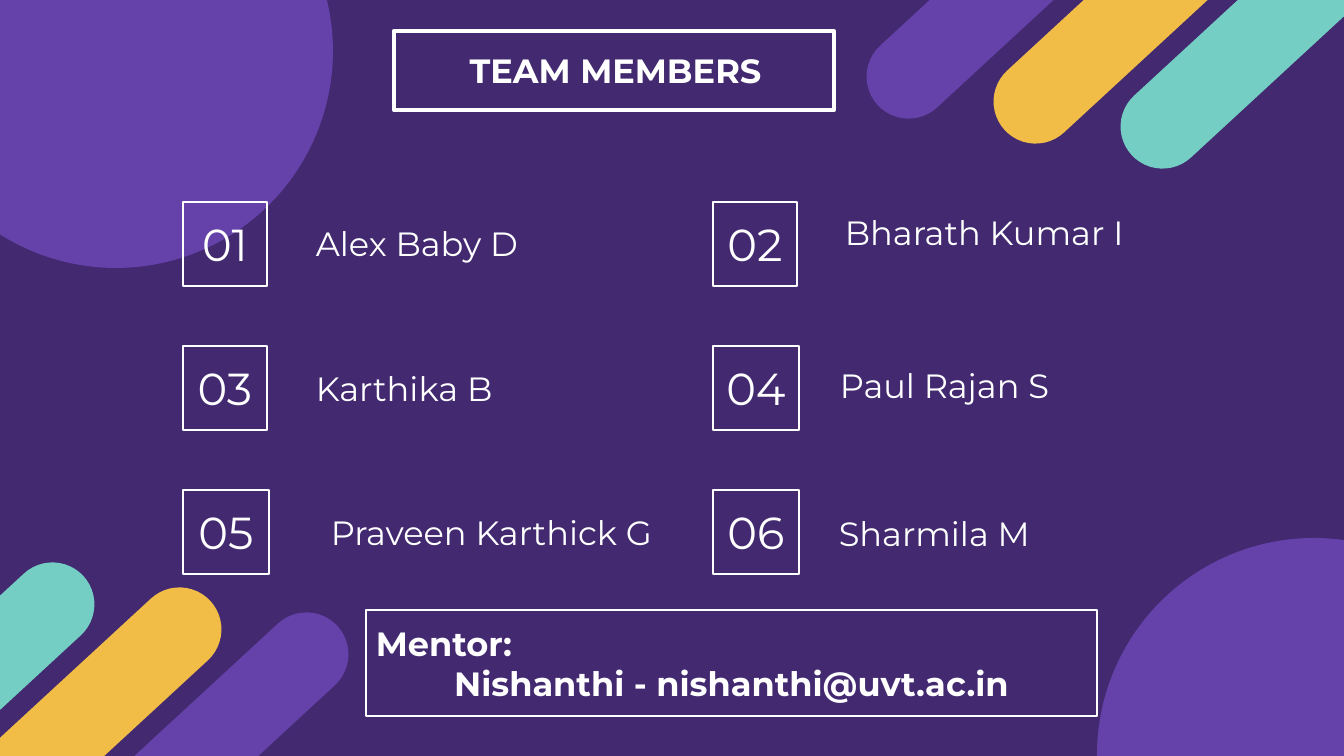
"""Build the team members slide."""
from pptx import Presentation
from pptx import util as u
from pptx.dml.color import RGBColor
from pptx.enum import shapes, text

COLORS = {"night": "422970", "violet": "6542A9", "amber": "F1BD47",
          "mint": "75CEC4", "white": "FFFFFF"}
FONT = "Montserrat"
SCALE = 914400 / 100.8
SLIDE_W, SLIDE_H = 1344, 756

TITLE = "TEAM MEMBERS"
MEMBERS = [
    ("Alex Baby D", 306, 218, 384, 84),
    ("Bharath Kumar I", 835, 207, 442, 84),
    ("Karthika B", 306, 363, 384, 84),
    ("Paul Rajan S", 830, 360, 442, 86),
    ("Praveen Karthick G", 321, 507, 370, 86),
    ("Sharmila M", 829, 508, 442, 86),
]
MENTOR = ["Mentor:", "Nishanthi - nishanthi@uvt.ac.in"]
CIRCLES = [(-101, -166), (1097, 538)]
CIRCLE_SIZE = 434
PILL_GROUPS = [(837, -41, ("violet", "amber", "mint")),
               (-183, 638, ("mint", "amber", "violet"))]
PILL_W, PILL_H, PILL_DX, PILL_DY = 307, 84, 127, 25
BADGE_X, BADGE_Y, BADGE_H = (183, 713), 202, 84
ROW_STEP = 144
LEFT, CENTER = text.PP_ALIGN.LEFT, text.PP_ALIGN.CENTER
SHAPE = shapes.MSO_SHAPE


def px(*lengths):
    return [u.Emu(round(n * SCALE)) for n in lengths]


def rgb(name):
    return RGBColor.from_string(COLORS[name])


def add_shape(kind, box, fill=None, line=None):
    sp = slide.shapes.add_shape(kind, *px(*box))
    sp.shadow.inherit = False
    if fill:
        sp.fill.solid()
        sp.fill.fore_color.rgb = rgb(fill)
    else:
        sp.fill.background()
    if line:
        sp.line.color.rgb = rgb("white")
        sp.line.width = u.Pt(line)
    else:
        sp.line.fill.background()
    return sp


def write(sp, lines, size, aligns, bold=False):
    tf = sp.text_frame
    tf.word_wrap = True
    tf.text = "\n".join(lines)
    for p, align in zip(tf.paragraphs, aligns):
        p.alignment = align
        font = p.runs[0].font
        font.name, font.size, font.bold = FONT, u.Pt(size), bold
        font.color.rgb = rgb("white")
    return tf


def add_label(box, label, align=LEFT, bold=False):
    tf = write(slide.shapes.add_textbox(*px(*box)), [label], 24, [align], bold)
    tf.auto_size = text.MSO_AUTO_SIZE.SHAPE_TO_FIT_TEXT


prs = Presentation()
prs.slide_width, prs.slide_height = px(SLIDE_W, SLIDE_H)
slide = prs.slides.add_slide(prs.slide_layouts[6])

add_shape(SHAPE.RECTANGLE, (0, 0, SLIDE_W, SLIDE_H), "night")
for x, y in CIRCLES:
    add_shape(SHAPE.OVAL, (x, y, CIRCLE_SIZE, CIRCLE_SIZE), "violet")
for x, y, fills in PILL_GROUPS:
    for i, fill in enumerate(fills):
        box = (x + i * PILL_DX, y + i * PILL_DY, PILL_W, PILL_H)
        pill = add_shape(SHAPE.ROUNDED_RECTANGLE, box, fill)
        pill.adjustments[0] = 0.5
        pill.rotation = 317.3

add_shape(SHAPE.RECTANGLE, (394, 31, 440, 79), line=3)
add_label((450, 45, 331, 50), TITLE, CENTER, True)

for i, (name, x, y, width, badge_w) in enumerate(MEMBERS):
    row, col = divmod(i, 2)
    box = (BADGE_X[col], BADGE_Y + row * ROW_STEP, badge_w, BADGE_H)
    badge = add_shape(SHAPE.RECTANGLE, box, line=1)
    write(badge, [f"{i + 1:02d}"], 32, [CENTER])
    add_label((x, y, width, 50), name)

mentor = add_shape(SHAPE.RECTANGLE, (366, 610, 731, 106), line=1)
write(mentor, MENTOR, 24, [LEFT, CENTER], True)

prs.save("out.pptx")
